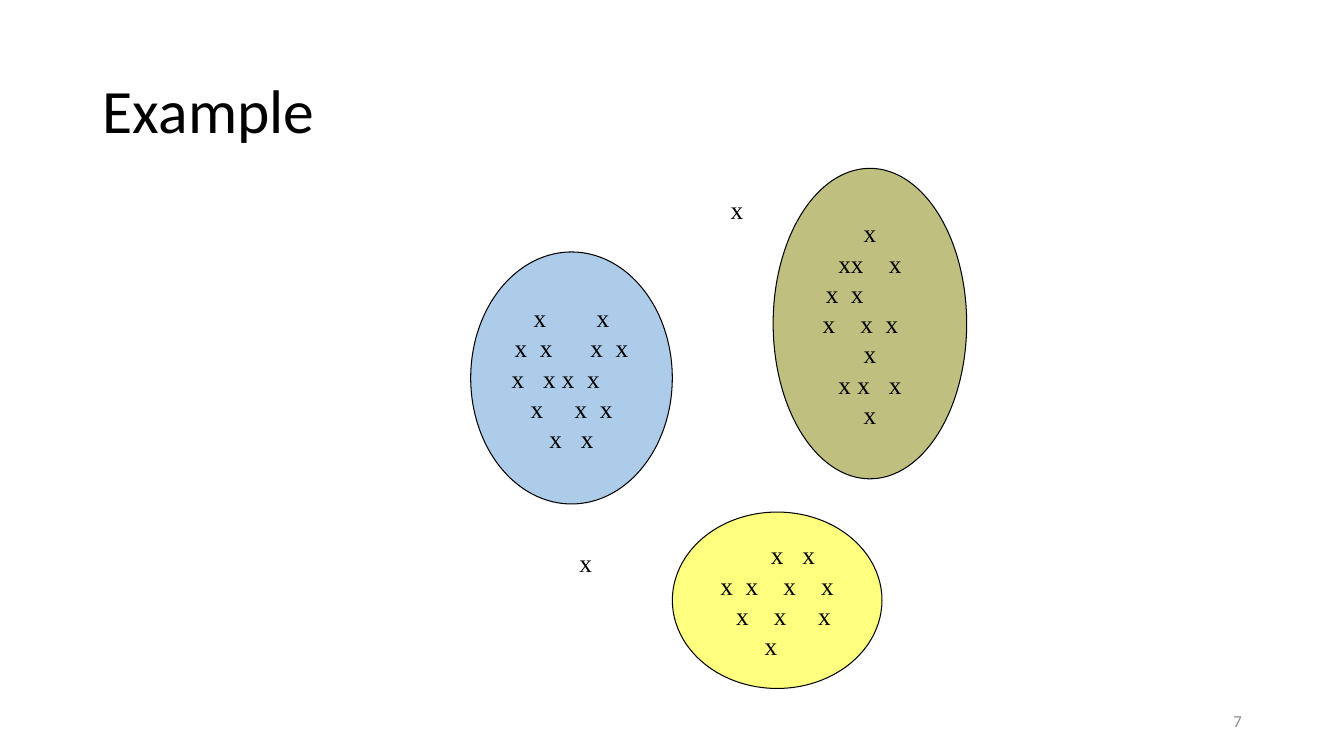
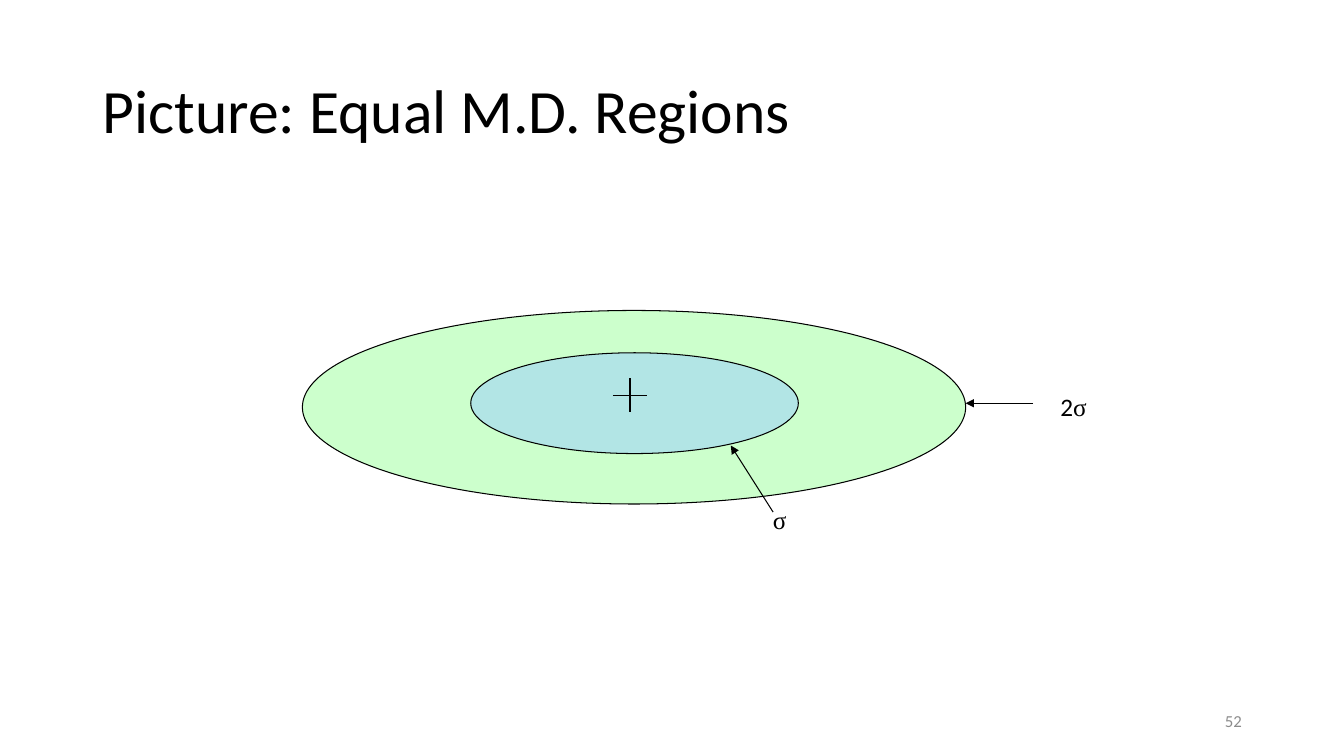
import pptx
import pptx.dml.color
import pptx.enum.shapes
import pptx.enum.text
import pptx.oxml
import pptx.oxml.ns
import pptx.util
from lxml import etree

Inches = pptx.util.Inches
Pt = pptx.util.Pt
RGBColor = pptx.dml.color.RGBColor
Align = pptx.enum.text.PP_ALIGN
Anchor = pptx.enum.text.MSO_ANCHOR
qn = pptx.oxml.ns.qn

BLACK = RGBColor(0x00, 0x00, 0x00)
GREY = RGBColor(0x8C, 0x8C, 0x8C)
BLUE = RGBColor(0x5B, 0x9B, 0xD5)
OLIVE = RGBColor(0x80, 0x80, 0x00)
YELLOW = RGBColor(0xFF, 0xFF, 0x00)
PALE_GREEN = RGBColor(0xCC, 0xFF, 0xCC)
SKY = RGBColor(0x99, 0xCC, 0xFF)

SANS = "Calibri"
SERIF = "Times New Roman"
POINT_STEP = 1 / 32
ELLIPSE_TEXT_SHARE = 0.5 ** 0.5

CLUSTERS = [
    ((4.67, 2.5, 2, 2.5), BLUE, [
        {-10: "x", 10: "x"},
        {-16: "x", -8: "x", 8: "x", 16: "x"},
        {-17: "x", -4: "x x", 7: "x"},
        {-11: "x", 3: "x", 11: "x"},
        {-5: "x", 5: "x"}]),
    ((7.67, 1.67, 1.92, 3.08), OLIVE, [
        {0: "x"},
        {-6: "xx", 8: "x"},
        {-12: "x", -4: "x"},
        {-13: "x", -1: "x", 7: "x"},
        {0: "x"},
        {-5: "x x", 8: "x"},
        {0: "x"}]),
    ((6.67, 5.08, 2.08, 1.75), YELLOW, [
        {0: "x", 10: "x"},
        {-16: "x", -8: "x", 4: "x", 16: "x"},
        {-11: "x", 1: "x", 15: "x"},
        {-2: "x"}]),
]
OUTLIERS = [(7.15, 1.88), (5.65, 5.38)]


class Deck:
    def __init__(self):
        self.presentation = pptx.Presentation()
        self.presentation.slide_width = Inches(40 / 3)
        self.presentation.slide_height = Inches(7.5)
        self.slide = None

    def style(self, paragraph, size, color=BLACK, font=None):
        paragraph.font.size = Pt(size)
        paragraph.font.color.rgb = color
        if font:
            paragraph.font.name = font

    def place(self, shape, box):
        shape.left, shape.top, shape.width, shape.height = map(Inches, box)

    def add_slide(self, heading, number):
        layout = self.presentation.slide_layouts[5]
        self.slide = self.presentation.slides.add_slide(layout)
        title = self.slide.shapes.title
        self.place(title, (0.92, 0.4, 11.5, 1.45))
        title.text_frame.text = heading
        title.text_frame.vertical_anchor = Anchor.MIDDLE
        paragraph = title.text_frame.paragraphs[0]
        paragraph.alignment = Align.LEFT
        paragraph.line_spacing = 0.9
        self.style(paragraph, 44, font=SANS)

        footer = self.slide.shapes.add_textbox(
            Inches(9.42), Inches(6.95), Inches(3), Inches(0.4)).text_frame
        footer.word_wrap = True
        footer.vertical_anchor = Anchor.MIDDLE
        footer.text = number
        footer.paragraphs[0].alignment = Align.RIGHT
        self.style(footer.paragraphs[0], 12, GREY, SANS)

    def ellipse(self, box, color, opacity=100):
        region = self.slide.shapes.add_shape(
            pptx.enum.shapes.MSO_SHAPE.OVAL, *map(Inches, box))
        region.shadow.inherit = False
        region.fill.solid()
        region.fill.fore_color.rgb = color
        if opacity < 100:
            tint = region.fill._xPr.find(qn("a:solidFill"))[0]
            etree.SubElement(tint, qn("a:alpha"), val=str(opacity * 1000))
        region.line.color.rgb = BLACK
        region.line.width = Pt(0.75)
        return region

    def cluster(self, box, color, rows):
        frame = self.ellipse(box, color, 50).text_frame
        frame.word_wrap = True
        frame.vertical_anchor = Anchor.MIDDLE
        frame.margin_left = frame.margin_right = 0
        frame.margin_top = frame.margin_bottom = 0
        center = box[2] * ELLIPSE_TEXT_SHARE / 2
        frame.text = "\n".join(
            "".join("\t" + points for points in row.values()) for row in rows)
        for paragraph, row in zip(frame.paragraphs, rows):
            paragraph.alignment = Align.LEFT
            paragraph.line_spacing = Pt(21.6)
            stops = etree.SubElement(
                paragraph._p.get_or_add_pPr(), qn("a:tabLst"))
            for offset in row:
                position = Inches(center + offset * POINT_STEP)
                etree.SubElement(
                    stops, qn("a:tab"), pos=str(position), algn="ctr")
            self.style(paragraph, 18, font=SERIF)

    def label(self, left, top, width, *parts):
        frame = self.slide.shapes.add_textbox(
            Inches(left), Inches(top), Inches(width), Inches(0.5)).text_frame
        frame.word_wrap = False
        paragraph = frame.paragraphs[0]
        for text, font in parts:
            run = paragraph.add_run()
            run.text = text
            if len(parts) > 1:
                run.font.name = font
        self.style(paragraph, 18, font=parts[0][1] if len(parts) == 1 else None)

    def line(self, start, end, arrow=False, shapes=None):
        owner = self.slide.shapes if shapes is None else shapes
        connector = owner.add_connector(
            pptx.enum.shapes.MSO_CONNECTOR.STRAIGHT,
            *map(Inches, (*start, *end)))
        connector.line.color.rgb = BLACK
        connector.line.width = Pt(0.75)
        if arrow:
            etree.SubElement(
                connector.line._get_or_add_ln(), qn("a:tailEnd"),
                type="triangle")
        etree.SubElement(connector._element.spPr, qn("a:effectLst"))

    def cross(self, x, y, reach):
        arms = self.slide.shapes.add_group_shape().shapes
        self.line((x, y - reach), (x, y + reach), shapes=arms)
        self.line((x - reach, y), (x + reach, y), shapes=arms)


def main():
    deck = Deck()

    deck.add_slide("Example", "7")
    for box, color, rows in CLUSTERS:
        deck.cluster(box, color, rows)
    for left, top in OUTLIERS:
        deck.label(left, top, 0.37, ("x", SERIF))

    deck.add_slide("Picture: Equal M.D. Regions", "52")
    deck.ellipse((3, 3.08, 6.58, 1.92), PALE_GREEN)
    deck.ellipse((4.67, 3.5, 3.25, 1), SKY, 50)
    deck.cross(6.25, 3.92, 0.17)
    deck.label(7.57, 4.95, 0.4, ("σ", SERIF))
    deck.label(10.42, 3.83, 0.59, ("2", SANS), ("σ", SERIF))
    deck.line((7.67, 5.08), (7.25, 4.42), arrow=True)
    deck.line((10.25, 4), (9.58, 4), arrow=True)

    deck.presentation.save("out.pptx")


if __name__ == "__main__":
    main()
